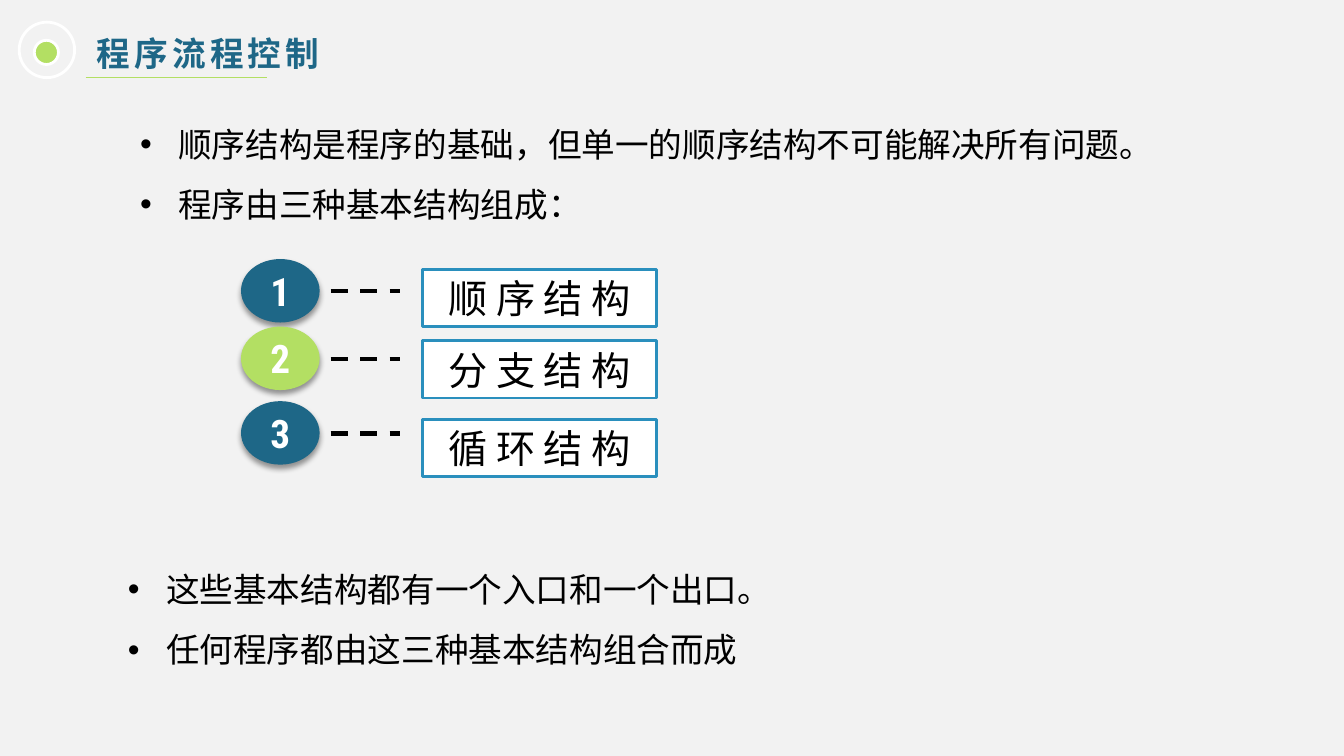
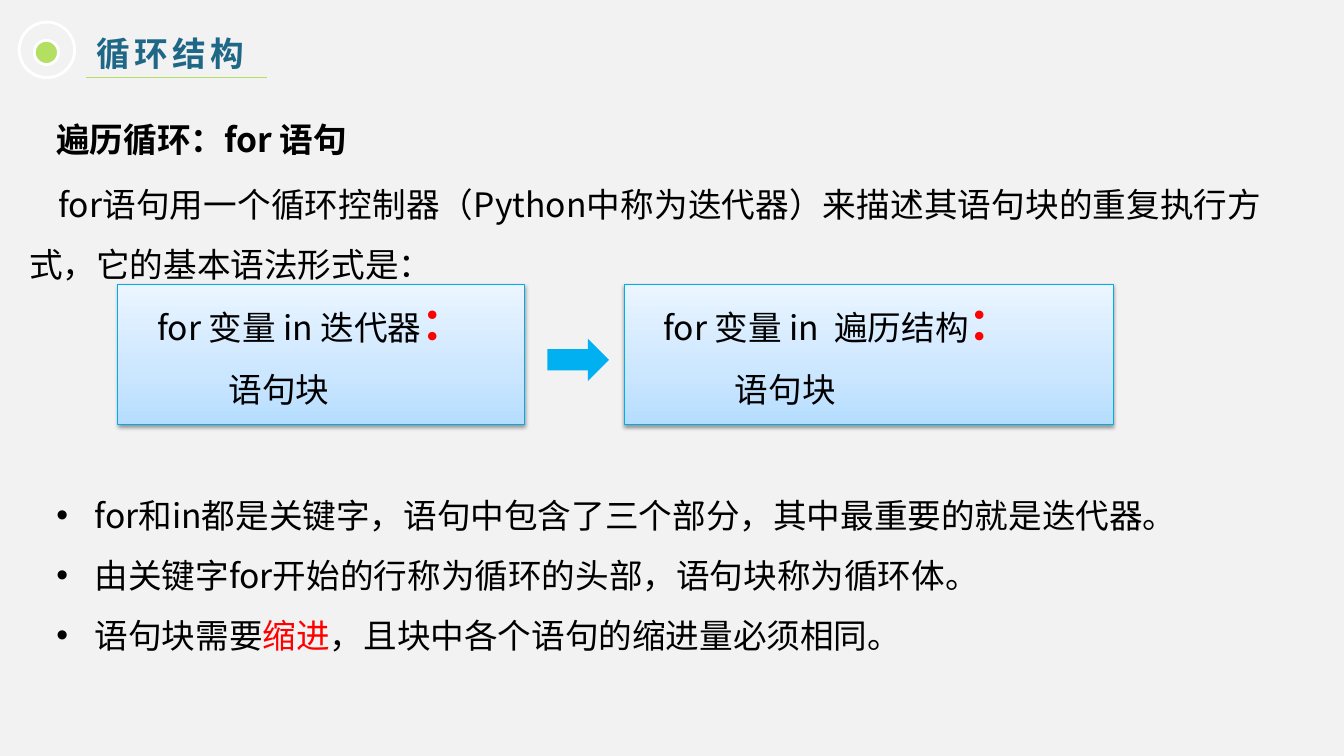
from dataclasses import dataclass
from typing import NamedTuple

from lxml import etree
from pptx import Presentation
from pptx import util as u
from pptx.dml.color import RGBColor
from pptx.enum import dml, shapes, text
from pptx.oxml.ns import qn

PX = 9144  # EMU in one px, 100 px to the inch

BLACK = RGBColor(0x00, 0x00, 0x00)
WHITE = RGBColor(0xFF, 0xFF, 0xFF)
PAPER = RGBColor(0xF2, 0xF2, 0xF2)
TEAL = RGBColor(0x1E, 0x67, 0x87)
LIME = RGBColor(0xB3, 0xDF, 0x63)
BLUE = RGBColor(0x2A, 0x8F, 0xBD)
CYAN = RGBColor(0x00, 0xAC, 0xEB)
ARROW_BLUE = RGBColor(0x00, 0xB0, 0xF0)
RED = RGBColor(0xFF, 0x00, 0x00)
CODE_STOPS = (
    (0, RGBColor(0xB5, 0xDD, 0xFF)),
    (35, RGBColor(0xCB, 0xE6, 0xFF)),
    (100, RGBColor(0xEB, 0xF5, 0xFF)),
)

CJK = "Noto Sans CJK SC"
LEFT = text.PP_ALIGN.LEFT
CENTER = text.PP_ALIGN.CENTER
JUSTIFY = text.PP_ALIGN.JUSTIFY
TOP = text.MSO_ANCHOR.TOP
MIDDLE = text.MSO_ANCHOR.MIDDLE
OVAL = shapes.MSO_SHAPE.OVAL
RECTANGLE = shapes.MSO_SHAPE.RECTANGLE


class Box(NamedTuple):
    left: int
    top: int
    width: int
    height: int

    def emu(self) -> list[int]:
        return [length * PX for length in self]


class Span(NamedTuple):
    text: str
    color: RGBColor = BLACK
    size: int = 24
    bold: bool = False
    font: str = CJK
    tracking: int = 0


@dataclass
class Para:
    spans: list[Span]
    leading: int = 43
    align: text.PP_ALIGN = LEFT
    indent: int = 0
    bullet: bool = False
    space_after: int = 0


class Step(NamedTuple):
    label: str
    color: RGBColor
    badge_top: int
    label_top: int


class CodeBox(NamedTuple):
    head: str
    left: int
    width: int


STEPS = [
    Step("顺序结构", TEAL, 257, 267),
    Step("分支结构", LIME, 324, 338),
    Step("循环结构", TEAL, 398, 416),
]
CODE_BOXES = [
    CodeBox("for 变量 in 迭代器", 117, 403),
    CodeBox("for 变量 in  遍历结构", 619, 485),
]


def format_para(para, model: Para) -> None:
    props = para._p.get_or_add_pPr()
    if model.bullet:
        props.set("marL", str(38 * PX))
        props.set("indent", str(-38 * PX))
        etree.SubElement(props, qn("a:buFont")).set("typeface", "Arial")
        etree.SubElement(props, qn("a:buChar")).set("char", "•")
    elif model.indent:
        props.set("marL", "0")
        props.set("indent", str(model.indent * PX))
    para.alignment = model.align
    para.line_spacing = u.Pt(model.leading)
    para.space_before = u.Pt(0)
    para.space_after = u.Pt(model.space_after)
    for span in model.spans:
        run = para.add_run()
        run.text = span.text
        font = run.font
        font.name, font.size, font.bold = span.font, u.Pt(span.size), span.bold
        font.color.rgb = span.color
        run_props = run._r.get_or_add_rPr()
        run_props.set("spc", str(span.tracking * 100))
        etree.SubElement(run_props, qn("a:ea")).set("typeface", CJK)


def write(shape, models: list[Para], anchor=TOP) -> None:
    frame = shape.text_frame
    frame.word_wrap = True
    frame.vertical_anchor = anchor
    for index, model in enumerate(models):
        para = frame.add_paragraph() if index else frame.paragraphs[0]
        format_para(para, model)


def add_text(page, box: Box, models: list[Para]) -> None:
    write(page.shapes.add_textbox(*box.emu()), models)


def add_shape(page, kind, box: Box, fill: RGBColor | None = None,
              line: RGBColor | None = None, weight: float = 2):
    shape = page.shapes.add_shape(kind, *box.emu())
    shape.shadow.inherit = False
    if fill is None:
        shape.fill.background()
    else:
        shape.fill.solid()
        shape.fill.fore_color.rgb = fill
    if line is None:
        shape.line.fill.background()
    else:
        shape.line.color.rgb = line
        shape.line.width = u.Pt(weight)
    return shape


def add_rule(page, left: int, right: int, y: int, color: RGBColor, weight: float):
    rule = page.shapes.add_connector(
        shapes.MSO_CONNECTOR.STRAIGHT, left * PX, y * PX, right * PX, y * PX)
    rule.line.color.rgb = color
    rule.line.width = u.Pt(weight)
    etree.SubElement(rule._element.spPr, qn("a:effectLst"))
    return rule


def add_color(parent, color: RGBColor):
    node = etree.SubElement(parent, qn("a:srgbClr"))
    node.set("val", str(color))
    return node


def add_shadow(shape, alpha: int, blur: float, distance: float) -> None:
    """Drop a black shadow straight down; alpha in percent, lengths in points."""
    effects = shape._element.spPr.find(qn("a:effectLst"))
    shadow = etree.SubElement(effects, qn("a:outerShdw"))
    shadow.set("blurRad", str(u.Pt(blur)))
    shadow.set("dist", str(u.Pt(distance)))
    shadow.set("dir", "5400000")
    shadow.set("rotWithShape", "0")
    alpha_node = etree.SubElement(add_color(shadow, BLACK), qn("a:alpha"))
    alpha_node.set("val", str(alpha * 1000))


def fill_gradient(shape, stops) -> None:
    """Fill from bottom to top with any number of colour stops."""
    shape.fill.gradient()
    shape.fill.gradient_angle = 90
    stop_list = shape._element.spPr.find(".//" + qn("a:gsLst"))
    for old in list(stop_list):
        stop_list.remove(old)
    for position, color in stops:
        stop = etree.SubElement(stop_list, qn("a:gs"))
        stop.set("pos", str(position * 1000))
        add_color(stop, color)


def add_page(deck, heading: str):
    """Add a slide with the shared title, target mark and underline."""
    page = deck.slides.add_slide(deck.slide_layouts[5])
    title = page.shapes.title
    title.left, title.top, title.width, title.height = Box(86, 27, 684, 50).emu()
    title.text_frame.auto_size = text.MSO_AUTO_SIZE.NONE
    write(title, [Para([Span(heading, TEAL, bold=True, tracking=3)], leading=29)])
    add_shape(page, OVAL, Box(34, 40, 24, 24), LIME, WHITE)
    add_shape(page, OVAL, Box(19, 22, 55, 55), line=WHITE)
    add_rule(page, 85, 265, 77, LIME, 0.75)
    return page


def bullets(*lines: list[Span]) -> list[Para]:
    return [Para(line, bullet=True) for line in lines]


def add_step(page, number: int, step: Step) -> None:
    badge = add_shape(page, OVAL, Box(239, step.badge_top, 78, 63), step.color)
    add_shadow(badge, 40, 4, 3)
    digit = Span(str(number), WHITE, 28, True, "Roboto Condensed")
    write(badge, [Para([digit], leading=33, align=CENTER)], MIDDLE)
    dash = add_rule(page, 328, 397, step.badge_top + 32, BLACK, 3)
    dash.line.dash_style = dml.MSO_LINE.DASH
    label = add_shape(page, RECTANGLE, Box(419, step.label_top, 232, 57), WHITE, BLUE)
    name = Span(step.label, size=28, font="Calibri", tracking=6)
    write(label, [Para([name], leading=34, align=CENTER)])


def add_code_box(page, code: CodeBox) -> None:
    box = add_shape(page, RECTANGLE, Box(code.left, 282, code.width, 139),
                    WHITE, CYAN, 0.75)
    fill_gradient(box, CODE_STOPS)
    add_shadow(box, 38, 3.1, 1.6)
    box.text_frame.margin_bottom = 35 * PX
    write(box, [
        Para([Span(code.head), Span("：", RED, 32, True)], 57, JUSTIFY, 29),
        Para([Span("语句块")], align=JUSTIFY, indent=100),
    ], MIDDLE)


def build_control_page(deck) -> None:
    page = add_page(deck, "程序流程控制")
    for number, step in enumerate(STEPS, 1):
        add_step(page, number, step)
    add_text(page, Box(129, 98, 1078, 131), bullets(
        [Span("顺序结构是程序的基础，但单一的顺序结构不可能解决所有问题。")],
        [Span("程序由三种基本结构组成：")],
    ))
    add_text(page, Box(117, 540, 1007, 131), bullets(
        [Span("这些基本结构都有一个入口和一个出口。")],
        [Span("任何程序都由这三种基本结构组合而成")],
    ))


def build_loop_page(deck) -> None:
    page = add_page(deck, "循环结构")
    add_text(page, Box(46, 98, 1242, 66), [
        Para([Span("遍历循环：for 语句", bold=True)], leading=40, space_after=6),
    ])
    add_text(page, Box(19, 158, 1242, 124), [Para(
        [Span("for语句用一个循环控制器（Python中称为迭代器）来描述其语句块的"
              "重复执行方式，它的基本语法形式是：")],
        align=JUSTIFY, indent=29)])
    for code in CODE_BOXES:
        add_code_box(page, code)
    add_shape(page, shapes.MSO_SHAPE.RIGHT_ARROW, Box(543, 336, 61, 42), ARROW_BLUE)
    add_text(page, Box(46, 466, 1215, 185), bullets(
        [Span("for和in都是关键字，语句中包含了三个部分，其中最重要的就是迭代器。")],
        [Span("由关键字for开始的行称为循环的头部，语句块称为循环体。")],
        [Span("语句块需要"), Span("缩进", RED),
         Span("，且块中各个语句的缩进量必须相同。")],
    ))


def main() -> None:
    deck = Presentation()
    deck.slide_width, deck.slide_height = u.Inches(13.33), u.Inches(7.5)
    backdrop = deck.slide_master.background.fill
    backdrop.solid()
    backdrop.fore_color.rgb = PAPER
    build_control_page(deck)
    build_loop_page(deck)
    deck.save("out.pptx")


if __name__ == "__main__":
    main()
